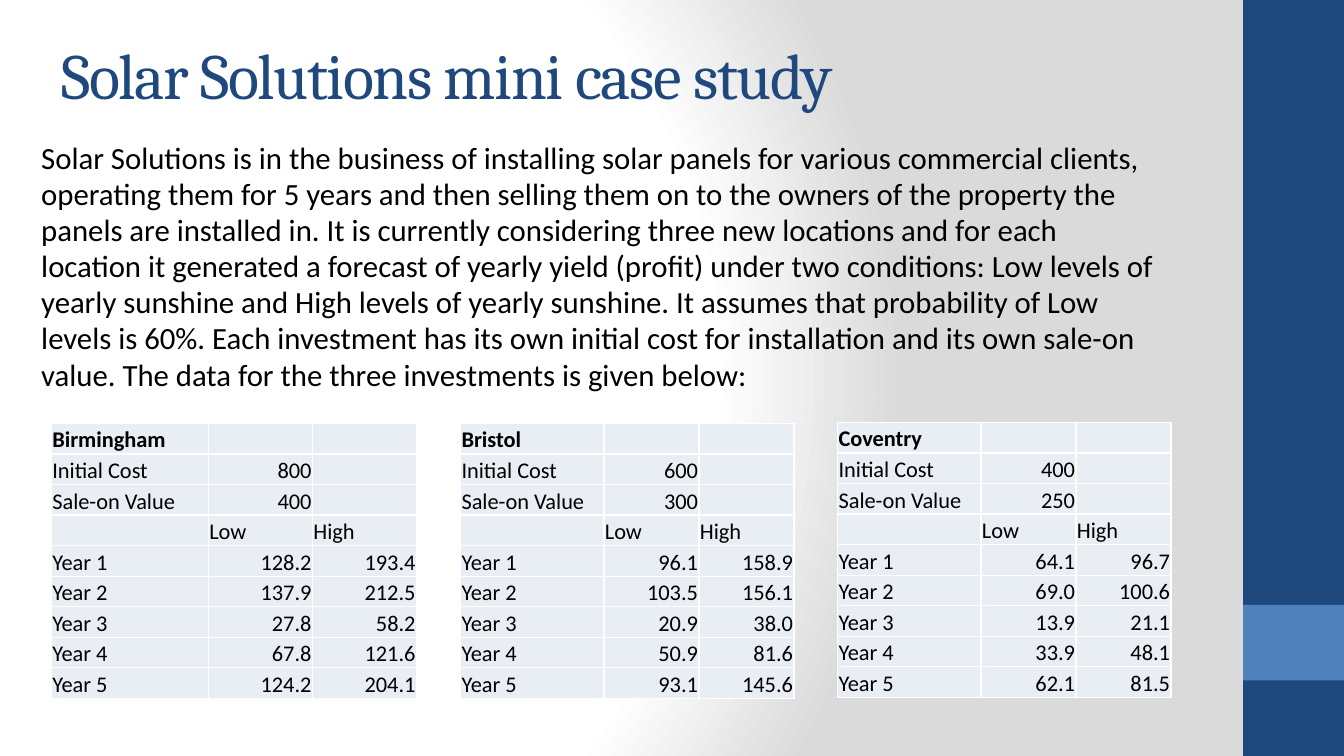
from pptx import Presentation
from pptx.dml.color import RGBColor
from pptx.enum.shapes import MSO_SHAPE
from pptx.enum.text import MSO_ANCHOR, PP_ALIGN
from pptx.oxml import parse_xml
from pptx.oxml.ns import nsdecls
from pptx.util import Pt

NAVY = RGBColor(0x1F, 0x49, 0x7D)
BLUE = RGBColor(0x4F, 0x81, 0xBD)
BLACK = RGBColor(0, 0, 0)
WHITE = RGBColor(0xFF, 0xFF, 0xFF)
GREY = RGBColor(0xDA, 0xDA, 0xDA)
CELL_BLUE = RGBColor(0xE9, 0xED, 0xF4)

SLIDE_WIDTH, SLIDE_HEIGHT = 960, 540
TABLE_HEIGHT = 196.6
LABEL_SHARE = 0.43

TITLE = "Solar Solutions mini case study"
CASE_TEXT = (
    "Solar Solutions is in the business of installing solar panels for various "
    "commercial clients, operating them for 5 years and then selling them on to the "
    "owners of the property the panels are installed in. It is currently considering "
    "three new locations and for each location it generated a forecast of yearly yield "
    "(profit) under two conditions: Low levels of yearly sunshine and High levels of "
    "yearly sunshine. It assumes that probability of Low levels is 60%. Each investment "
    "has its own initial cost for installation and its own sale-on value. The data for "
    "the three investments is given below:"
)

# Left, top, width, city, initial cost, sale-on value, (low, high) per year
INVESTMENTS = [
    (36.7, 302.4, 260.8, "Birmingham", "800", "400",
     [("128.2", "193.4"), ("137.9", "212.5"), ("27.8", "58.2"),
      ("67.8", "121.6"), ("124.2", "204.1")]),
    (329, 302.4, 238.2, "Bristol", "600", "300",
     [("96.1", "158.9"), ("103.5", "156.1"), ("20.9", "38.0"),
      ("50.9", "81.6"), ("93.1", "145.6")]),
    (598.3, 301.7, 238.2, "Coventry", "400", "250",
     [("64.1", "96.7"), ("69.0", "100.6"), ("13.9", "21.1"),
      ("33.9", "48.1"), ("62.1", "81.5")]),
]


def set_background(slide):
    slide.element.cSld.insert(0, parse_xml(
        f'<p:bg {nsdecls("p", "a")}><p:bgPr><a:gradFill rotWithShape="1"><a:gsLst>'
        f'<a:gs pos="0"><a:srgbClr val="{WHITE}"/></a:gs>'
        f'<a:gs pos="75000"><a:srgbClr val="{WHITE}"/></a:gs>'
        f'<a:gs pos="100000"><a:srgbClr val="{GREY}"/></a:gs></a:gsLst>'
        '<a:path path="circle">'
        '<a:fillToRect l="20000" t="50000" r="100000" b="50000"/></a:path>'
        '</a:gradFill><a:effectLst/></p:bgPr></p:bg>'))


def add_side_band(slide, left, top, width, height):
    # The accent covers one tenth of the band, starting at four fifths
    for color, offset, share in ((NAVY, 0, 1), (BLUE, 0.8, 0.1)):
        shape = slide.shapes.add_shape(
            MSO_SHAPE.RECTANGLE, Pt(left), Pt(top + offset * height),
            Pt(width), Pt(share * height))
        shape.shadow.inherit = False
        shape.fill.solid()
        shape.fill.fore_color.rgb = color
        shape.line.fill.background()


def style_font(font, name, size, color, bold=False):
    font.name = name
    font.size = Pt(size)
    font.color.rgb = color
    font.bold = bold


def add_text(slide, left, top, width, height, text, name, size, color):
    box = slide.shapes.add_textbox(Pt(left), Pt(top), Pt(width), Pt(height))
    box.text_frame.word_wrap = True
    paragraph = box.text_frame.paragraphs[0]
    paragraph.text = text
    style_font(paragraph.font, name, size, color)
    return box.text_frame


def add_title(slide, left, top, width, height):
    frame = add_text(slide, left, top, width, height, TITLE, "Cambria", 46, NAVY)
    frame.vertical_anchor = MSO_ANCHOR.MIDDLE
    # Tighten the letters by one point
    frame.paragraphs[0].runs[0].font._element.set("spc", "-100")


def add_case_text(slide, left, top, width, height):
    frame = add_text(slide, left, top, width, height, CASE_TEXT, "Calibri", 22, BLACK)
    frame.margin_left = Pt(15.8)
    frame.paragraphs[0].line_spacing = 0.98


def style_cell(cell, text, bold, align):
    cell.fill.solid()
    cell.fill.fore_color.rgb = CELL_BLUE
    cell.vertical_anchor = MSO_ANCHOR.BOTTOM
    cell.margin_left = cell.margin_right = cell.margin_top = Pt(0.7)
    cell.margin_bottom = 0
    paragraph = cell.text_frame.paragraphs[0]
    paragraph.text = text
    paragraph.alignment = align
    style_font(paragraph.font, "Calibri", 16, BLACK, bold)
    if not text:
        paragraph._p.get_or_add_endParaRPr().set("sz", "1600")
    # White borders go before the fill
    properties = cell._tc.get_or_add_tcPr()
    for index, side in enumerate(("lnL", "lnR", "lnT", "lnB")):
        properties.insert(index, parse_xml(
            f'<a:{side} {nsdecls("a")} w="{Pt(1)}"><a:solidFill>'
            f'<a:srgbClr val="{WHITE}"/></a:solidFill></a:{side}>'))


def add_investment(slide, left, top, width, height, city, cost, sale, yields):
    rows = [(city, "", ""), ("Initial Cost", cost, ""), ("Sale-on Value", sale, ""),
            ("", "Low", "High")]
    rows += [(f"Year {year}", low, high)
             for year, (low, high) in enumerate(yields, start=1)]
    table = slide.shapes.add_table(
        len(rows), 3, Pt(left), Pt(top), Pt(width), Pt(height)).table
    label_width = width * LABEL_SHARE
    value_width = (width - label_width) / 2
    for column, column_width in zip(table.columns,
                                    (label_width, value_width, value_width)):
        column.width = Pt(column_width)
    for row_index, row in enumerate(rows):
        table.rows[row_index].height = Pt(height / len(rows))
        for column_index, text in enumerate(row):
            is_number = text[:1].isdigit()
            style_cell(table.cell(row_index, column_index), text, text == city,
                       PP_ALIGN.RIGHT if is_number else PP_ALIGN.LEFT)


def main():
    presentation = Presentation()
    presentation.slide_width = Pt(SLIDE_WIDTH)
    presentation.slide_height = Pt(SLIDE_HEIGHT)
    slide = presentation.slides.add_slide(presentation.slide_layouts[6])
    set_background(slide)
    add_side_band(slide, 888, 0, 72, SLIDE_HEIGHT)
    add_title(slide, 36.7, 21.6, 811.4, 62.6)
    add_case_text(slide, 13.7, 96.5, 823, 206)
    for left, top, width, *details in INVESTMENTS:
        add_investment(slide, left, top, width, TABLE_HEIGHT, *details)
    presentation.save("out.pptx")


if __name__ == "__main__":
    main()
